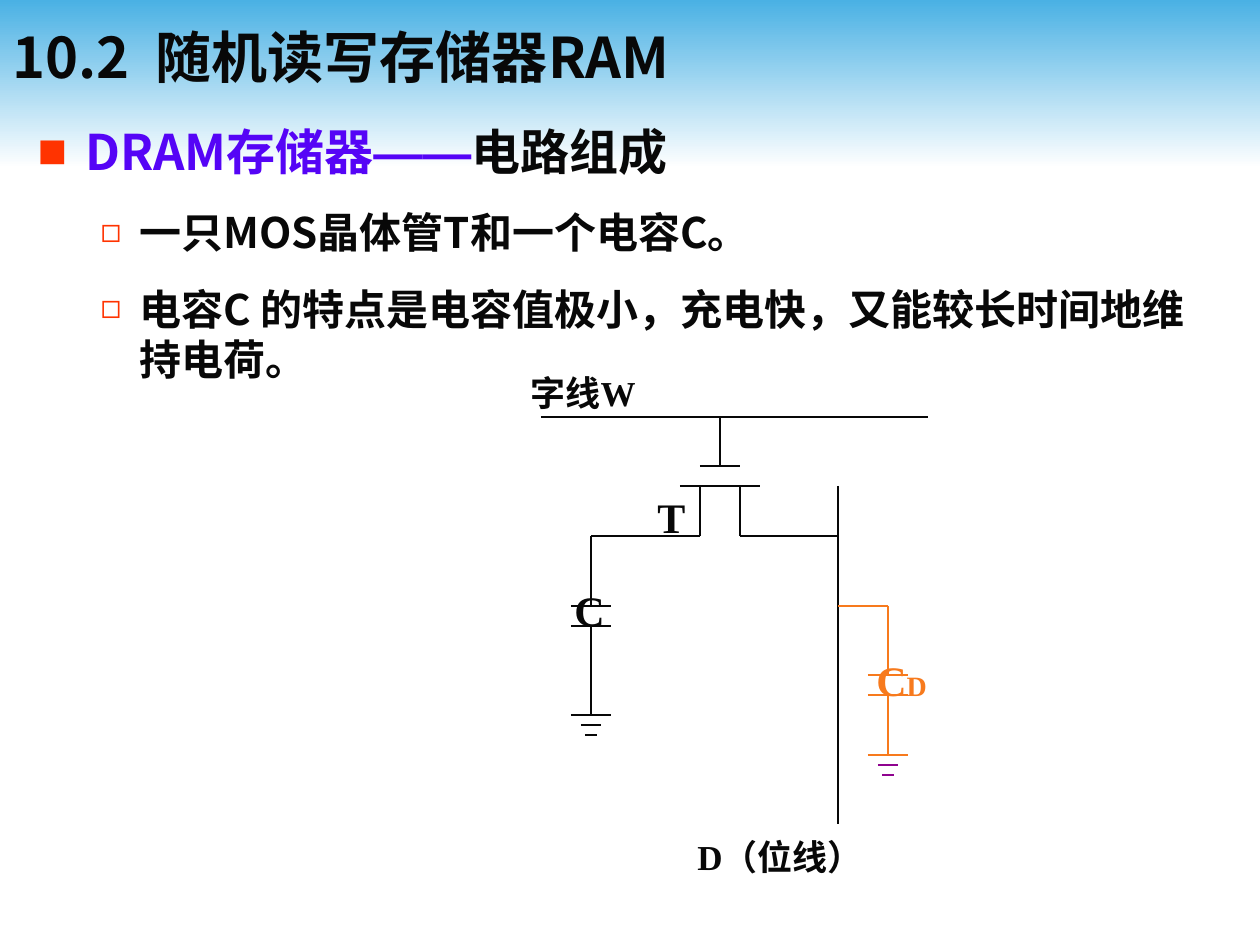
"""Build the slide on the circuit of a DRAM storage cell."""
from dataclasses import dataclass
from typing import NamedTuple

from lxml.etree import SubElement
from pptx import Presentation
from pptx.dml.color import RGBColor
from pptx.enum.shapes import MSO_CONNECTOR, MSO_SHAPE
from pptx.enum.text import MSO_ANCHOR as Anchor, MSO_AUTO_SIZE as AutoSize, PP_ALIGN as Align
from pptx.oxml.ns import qn
from pptx.util import Pt

PX = 914400 / 126


@dataclass(frozen=True)
class Theme:
    ink: str = "080808"
    violet: str = "5504F6"
    orange: str = "F77A1D"
    purple: str = "8F038F"
    bullet: str = "FF3300"
    sky: str = "4AB1E4"
    white: str = "FFFFFF"
    sans: str = "Noto Sans CJK JP"
    serif: str = "Times New Roman"
    dash: str = "Arial"
    title: int = 32
    topic: int = 28
    point: int = 24
    label: int = 20
    subscript: int = 16
    wire: float = 0.75


THEME = Theme()


class Piece(NamedTuple):
    text: str
    size: int
    color: str = THEME.ink
    latin: str = THEME.sans
    asian: str = THEME.sans


class Item(NamedTuple):
    pieces: list[Piece]
    level: int
    margin: int
    hang: int
    before: float
    bullet: str
    bullet_percent: int


class Label(NamedTuple):
    pieces: list[Piece]
    box: tuple[int, int, int, int]
    before: int
    spacing: float = 1.0


class Wire(NamedTuple):
    points: list[tuple[int, int]]
    color: str = THEME.ink


class Capacitor(NamedTuple):
    x: int
    top: int
    color: str


class Ground(NamedTuple):
    x: int
    top: int
    colors: list[str]


def emu(px: int) -> int:
    return round(px * PX)


def place(shape, box: tuple[int, int, int, int]) -> None:
    for side, px in zip(("left", "top", "width", "height"), box):
        setattr(shape, side, emu(px))


def apply(target, values: dict) -> None:
    for key, value in values.items():
        setattr(target, key, value)


def write(paragraph, pieces: list[Piece], before: float = 0, spacing: float = 1.0) -> None:
    apply(paragraph, {"alignment": Align.LEFT, "space_before": Pt(before), "line_spacing": spacing})
    for piece in pieces:
        run = paragraph.add_run()
        run.text = piece.text
        apply(run.font, {"size": Pt(piece.size), "bold": True, "name": piece.latin})
        run.font.color.rgb = RGBColor.from_string(piece.color)
        SubElement(run.font._element, qn("a:ea"), typeface=piece.asian)


def write_item(paragraph, item: Item) -> None:
    paragraph.level = item.level
    write(paragraph, item.pieces, item.before)
    props = paragraph._p.get_or_add_pPr()
    props.set("marL", str(emu(item.margin)))
    props.set("indent", str(-emu(item.hang)))
    SubElement(SubElement(props, qn("a:buClr")), qn("a:srgbClr"), val=THEME.bullet)
    SubElement(props, qn("a:buSzPct"), val=str(item.bullet_percent * 1000))
    SubElement(props, qn("a:buChar"), char=item.bullet)


def draw_wire(shapes, wire: Wire) -> None:
    for start, end in zip(wire.points, wire.points[1:]):
        segment = shapes.add_connector(MSO_CONNECTOR.STRAIGHT, *map(emu, start + end))
        segment.line.width = Pt(THEME.wire)
        segment.line.color.rgb = RGBColor.from_string(wire.color)
        SubElement(segment._element.spPr, qn("a:effectLst"))


def draw_bar(shapes, x: int, y: int, half: int, color: str) -> None:
    draw_wire(shapes, Wire([(x - half, y), (x + half, y)], color))


def draw_capacitor(shapes, capacitor: Capacitor) -> None:
    for y in (capacitor.top, capacitor.top + 20):
        draw_bar(shapes, capacitor.x, y, 20, capacitor.color)


def draw_ground(shapes, ground: Ground) -> None:
    for row, (half, color) in enumerate(zip((20, 10, 6, 0), ground.colors)):
        draw_bar(shapes, ground.x, ground.top + 10 * row, half, color)


def draw_label(shapes, label: Label) -> None:
    frame = shapes.add_textbox(*map(emu, label.box)).text_frame
    frame.word_wrap = True
    write(frame.paragraphs[0], label.pieces, label.before, label.spacing)


def draw_band(shapes) -> None:
    band = shapes.add_shape(MSO_SHAPE.RECTANGLE, 0, 0, emu(1260), emu(168))
    band.shadow.inherit = False
    band.line.fill.background()
    band.fill.gradient()
    band.fill.gradient_angle = 270
    for stop, color in zip(band.fill.gradient_stops, (THEME.sky, THEME.white)):
        stop.color.rgb = RGBColor.from_string(color)
    shapes._spTree.insert(2, band._element)


def serif(text: str, size: int, color: str = THEME.ink) -> Piece:
    return Piece(text, size, color, THEME.serif)


def point(text: str) -> Item:
    return Item([Piece(text, THEME.point)], 1, 102, 39, 15, "◻", 80)


ITEMS = [
    Item([Piece("DRAM存储器", THEME.topic, THEME.violet),
          Piece("——", THEME.topic, THEME.violet, THEME.dash, THEME.dash),
          Piece("电路组成", THEME.topic)], 0, 48, 48, 17.5, "■", 100),
    point("一只MOS晶体管T和一个电容C。"),
    point("电容C 的特点是电容值极小，充电快，又能较长时间地维持电荷。"),
]
WIRES = [
    Wire([(541, 417), (928, 417)]),
    Wire([(720, 417), (720, 466)]),
    Wire([(700, 466), (740, 466)]),
    Wire([(680, 486), (760, 486)]),
    Wire([(700, 486), (700, 536), (591, 536), (591, 606)]),
    Wire([(591, 626), (591, 715)]),
    Wire([(740, 486), (740, 536), (838, 536)]),
    Wire([(838, 486), (838, 824)]),
    Wire([(838, 606), (888, 606), (888, 675)], THEME.orange),
    Wire([(888, 695), (888, 755)], THEME.orange),
]
CAPACITORS = [Capacitor(591, 606, THEME.ink), Capacitor(888, 675, THEME.orange)]
GROUNDS = [Ground(591, 715, [THEME.ink] * 4),
           Ground(888, 755, [THEME.orange] + [THEME.purple] * 3)]
LABELS = [
    Label([serif("字线W", THEME.label)], (518, 373, 233, 47), 5, 0.8),
    Label([serif("T", THEME.point)], (645, 485, 149, 63), 6),
    Label([serif("C", THEME.point, THEME.orange), serif("D", THEME.subscript, THEME.orange)],
          (864, 648, 170, 63), 4),
    Label([serif("C", THEME.point)], (562, 578, 150, 63), 6),
    Label([serif("D（位线）", THEME.label)], (685, 829, 294, 54), 5),
]


def main() -> None:
    deck = Presentation()
    deck.slide_width, deck.slide_height = emu(1260), emu(945)
    slide = deck.slides.add_slide(deck.slide_layouts[1])
    shapes = slide.shapes
    title, body = shapes.title, slide.placeholders[1]
    draw_band(shapes)
    place(title, (0, 6, 1260, 100))
    apply(title.text_frame, {"vertical_anchor": Anchor.MIDDLE, "auto_size": AutoSize.NONE})
    write(title.text_frame.paragraphs[0], [Piece("10.2  随机读写存储器RAM", THEME.title)])
    place(body, (25, 115, 1201, 830))
    apply(body.text_frame, {"vertical_anchor": Anchor.TOP, "auto_size": AutoSize.NONE})
    for row, item in enumerate(ITEMS):
        write_item(body.text_frame.add_paragraph() if row else body.text_frame.paragraphs[0], item)
    for draw, parts in ((draw_wire, WIRES), (draw_capacitor, CAPACITORS),
                        (draw_ground, GROUNDS), (draw_label, LABELS)):
        for part in parts:
            draw(shapes, part)
    deck.save("out.pptx")


if __name__ == "__main__":
    main()
